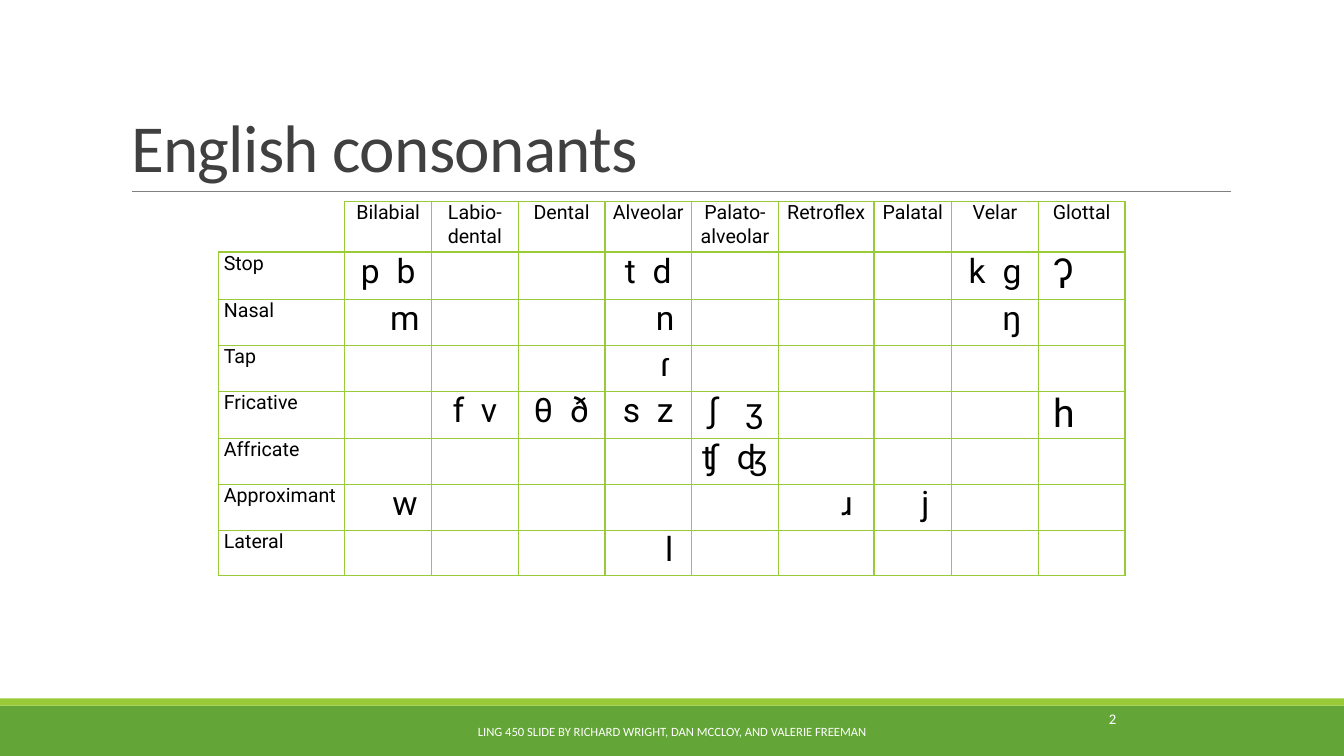
import pptx
import pptx.util
import pptx.dml.color
import pptx.enum.shapes
import pptx.enum.text
import pptx.oxml.ns
from lxml import etree

Inches = pptx.util.Inches
Pt = pptx.util.Pt
RGBColor = pptx.dml.color.RGBColor
ALIGN = pptx.enum.text.PP_ALIGN
MIDDLE = pptx.enum.text.MSO_ANCHOR.MIDDLE
qn = pptx.oxml.ns.qn

GREEN = RGBColor(0x63, 0xA5, 0x37)
LIME = RGBColor(0x99, 0xCB, 0x38)
RULE_GREY = RGBColor(0x80, 0x80, 0x80)
TITLE_GREY = RGBColor(0x40, 0x40, 0x40)
WHITE = RGBColor(0xFF, 0xFF, 0xFF)
BLACK = RGBColor(0, 0, 0)

SPACE_WIDTH = 0.25
PLACES = ["Bilabial", "Labio-dental", "Dental", "Alveolar", "Palato-alveolar",
          "Retroflex", "Palatal", "Velar", "Glottal"]
COLUMN_WIDTHS = [1.25] + [0.86] * 5 + [0.95, 0.77] + [0.86] * 2
HEADER_HEIGHT = 0.5
MANNERS = ["Stop", "Nasal", "Tap", "Fricative", "Affricate", "Approximant", "Lateral"]
PAIRS = {
    ("Stop", "Bilabial"): ("p b", 2),
    ("Stop", "Alveolar"): ("t d", 2),
    ("Stop", "Velar"): ("k ɡ", 2),
    ("Fricative", "Labio-dental"): ("f v", 2),
    ("Fricative", "Dental"): ("θ ð", 2),
    ("Fricative", "Alveolar"): ("s z", 2),
    ("Fricative", "Palato-alveolar"): ("ʃ ʒ", 3),
    ("Affricate", "Palato-alveolar"): ("ʧ ʤ", 2),
}
VOICED = {
    ("Nasal", "Bilabial"): ("m", 4),
    ("Nasal", "Alveolar"): ("n", 4),
    ("Nasal", "Velar"): ("ŋ", 4),
    ("Tap", "Alveolar"): ("ɾ", 4),
    ("Approximant", "Bilabial"): ("w", 4),
    ("Approximant", "Retroflex"): ("ɹ", 5),
    ("Approximant", "Palatal"): ("j", 3),
    ("Lateral", "Alveolar"): ("l", 5),
}
GLOTTALS = {("Stop", "Glottal"): "ʔ", ("Fricative", "Glottal"): "h"}


def write(frame, text, size, font="Roboto", color=BLACK, align=ALIGN.LEFT,
          anchor=MIDDLE, tracking=0, gap=0):
    frame.word_wrap = True
    frame.vertical_anchor = anchor
    para = frame.paragraphs[0]
    para.alignment = align
    pieces = text.partition(" ") if gap else [text]
    for piece in pieces:
        span = para.add_run()
        span.text = piece
        span.font.size = Pt(size)
        span.font.name = font
        span.font.color.rgb = color
        spacing = gap if piece == " " else tracking
        if spacing:
            span.font._element.set("spc", str(round(spacing * 100)))
    return para


def add_band(page, left, top, width, height, color):
    band = page.shapes.add_shape(pptx.enum.shapes.MSO_SHAPE.RECTANGLE,
                                 left, top, width, height)
    band.shadow.inherit = False
    band.fill.solid()
    band.fill.fore_color.rgb = color
    band.line.fill.background()


def add_footer(page, left, top, width, height):
    strip = Inches(0.07)
    add_band(page, left, top + strip, width, height - strip, GREEN)
    add_band(page, left, top, width, strip, LIME)
    credit = page.shapes.add_textbox(left + Inches(4.03), top + Inches(0.13),
                                     Inches(5.27), Inches(0.4))
    write(credit.text_frame, "LING 450 SLIDE BY RICHARD WRIGHT, DAN MCCLOY, AND VALERIE FREEMAN",
          9, font="Calibri", color=WHITE, align=ALIGN.CENTER)
    number = page.shapes.add_textbox(left + Inches(10.67), top, Inches(0.5), Inches(0.4))
    write(number.text_frame, "2", 10.5, font="Calibri", color=WHITE, align=ALIGN.RIGHT)


def add_heading(page, left, top, width, height):
    title = page.shapes.title
    title.left, title.top, title.width, title.height = left, top, width, height
    title.text_frame.auto_size = pptx.enum.text.MSO_AUTO_SIZE.NONE
    para = write(title.text_frame, "English consonants", 48, font="Calibri",
                 color=TITLE_GREY, anchor=pptx.enum.text.MSO_ANCHOR.BOTTOM, tracking=-0.5)
    para.line_spacing = 0.85
    inset, base = Inches(0.11), top + height
    rule = page.shapes.add_connector(pptx.enum.shapes.MSO_CONNECTOR.STRAIGHT,
                                     left + inset, base, left + width + Inches(0.01), base)
    rule.line.color.rgb = RULE_GREY
    rule.line.width = Pt(0.5)
    etree.SubElement(rule._element.spPr, qn("a:effectLst"))


def set_borders(cell, widths):
    properties = cell._tc.get_or_add_tcPr()
    for index, (side, width) in enumerate(zip("LRTB", widths)):
        line = etree.Element(qn(f"a:ln{side}"), w=str(Pt(width)))
        if width:
            fill = etree.SubElement(line, qn("a:solidFill"))
            etree.SubElement(fill, qn("a:srgbClr"), val=str(LIME))
        else:
            etree.SubElement(line, qn("a:noFill"))
        properties.insert(index, line)


def fill_sound(cell, key):
    if key in PAIRS:
        text, spaces = PAIRS[key]
        write(cell.text_frame, text, 24, align=ALIGN.CENTER,
              gap=(spaces - 1) * SPACE_WIDTH * 24)
    elif key in VOICED:
        text, spaces = VOICED[key]
        cell.margin_left += Pt(spaces * SPACE_WIDTH * 24)
        write(cell.text_frame, text, 24, align=ALIGN.CENTER)
    elif key in GLOTTALS:
        cell.margin_left += Pt(SPACE_WIDTH * 28)
        write(cell.text_frame, GLOTTALS[key], 28)


def add_consonants(page, left, top, width, height):
    table = page.shapes.add_table(len(MANNERS) + 1, len(PLACES) + 1,
                                  left, top, width, height).table
    table.first_row = table.horz_banding = False
    for column, share in zip(table.columns, COLUMN_WIDTHS):
        column.width = int(width * share / sum(COLUMN_WIDTHS))
    header = Inches(HEADER_HEIGHT)
    for index, row in enumerate(table.rows):
        row.height = int((height - header) / len(MANNERS)) if index else header
        for position, cell in enumerate(row.cells):
            cell.fill.background()
            cell.margin_left = cell.margin_right = Inches(0.05)
            cell.margin_top = cell.margin_bottom = 0
            upper = 1 if index < 2 else 0.5
            lower = 1 if index in (0, len(MANNERS)) else 0.5
            corner = index == position == 0
            set_borders(cell, (0, 1, 0, 1) if corner else (1, 1, upper, lower))
            if corner:
                continue
            if index == 0:
                write(cell.text_frame, PLACES[position - 1], 14, align=ALIGN.CENTER)
            elif position == 0:
                write(cell.text_frame, MANNERS[index - 1], 14)
            else:
                fill_sound(cell, (MANNERS[index - 1], PLACES[position - 1]))


def main():
    deck = pptx.Presentation()
    deck.slide_width, deck.slide_height = Inches(13.33), Inches(7.5)
    page = deck.slides.add_slide(deck.slide_layouts[5])
    add_footer(page, 0, Inches(6.93), deck.slide_width, Inches(0.57))
    add_heading(page, Inches(1.2), Inches(0.31), Inches(11), Inches(1.59))
    add_consonants(page, Inches(2.17), Inches(2), Inches(8.99), Inches(3.69))
    deck.save("out.pptx")


if __name__ == "__main__":
    main()
